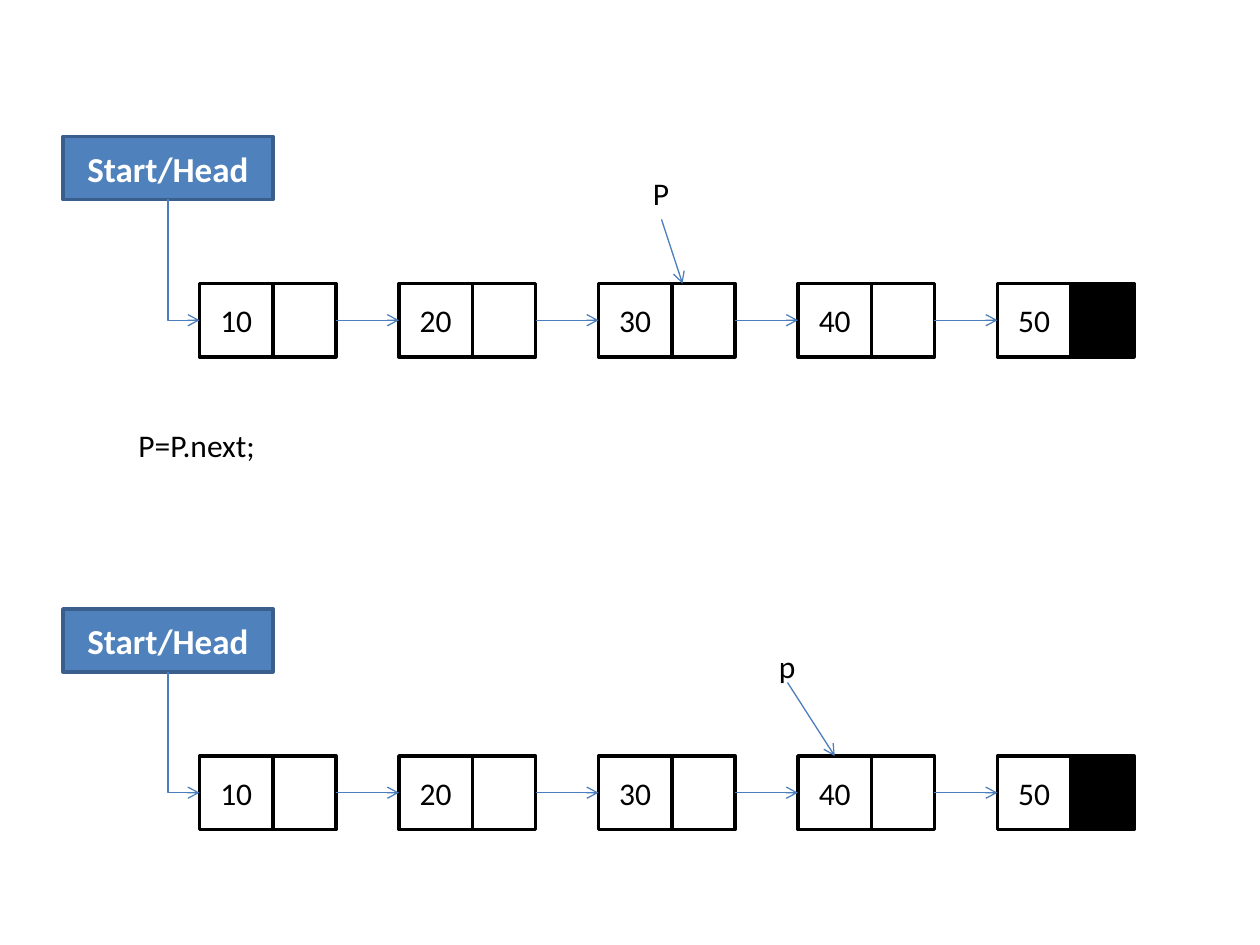
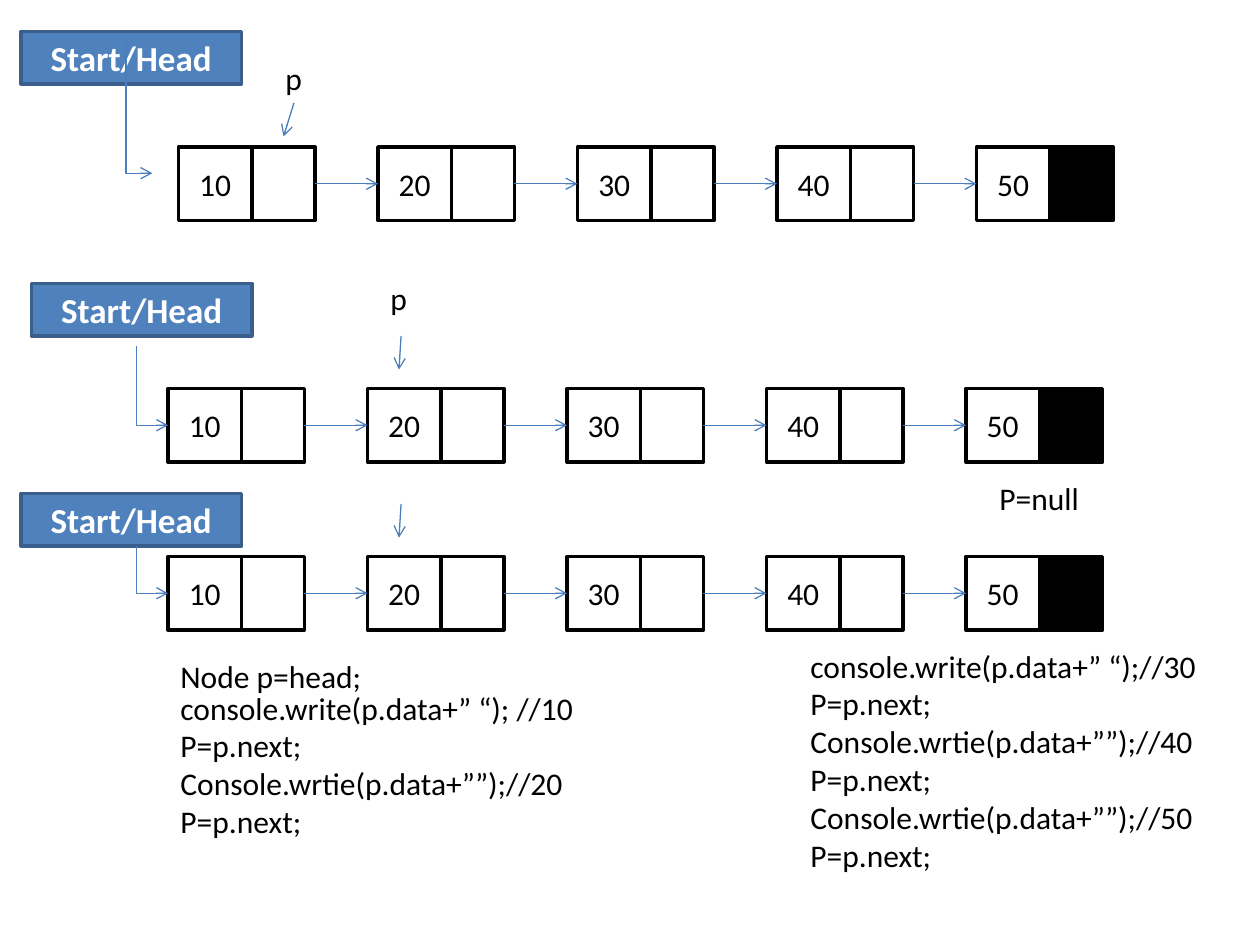
from lxml import etree
from pptx import Presentation
from pptx.dml.color import RGBColor
from pptx.enum.shapes import MSO_CONNECTOR, MSO_SHAPE
from pptx.enum.text import MSO_ANCHOR, MSO_AUTO_SIZE, PP_ALIGN
from pptx.oxml.ns import qn
from pptx.util import Cm, Pt

RECTANGLE = MSO_SHAPE.RECTANGLE
STRAIGHT = MSO_CONNECTOR.STRAIGHT
ELBOW = MSO_CONNECTOR.ELBOW
MIDDLE = MSO_ANCHOR.MIDDLE
CENTER = PP_ALIGN.CENTER
FIT_SHAPE = MSO_AUTO_SIZE.SHAPE_TO_FIT_TEXT

FONT = "Calibri"
BLACK = "000000"
WHITE = "FFFFFF"
HEAD_FILL = "4F81BD"
HEAD_LINE = "3A5F8C"
ARROW_BLUE = "4B7EBC"

GRID_CM = 2.54 / 12
NODE_VALUES = ["10", "20", "30", "40", "50"]
NODE_PITCH = 19
DATA_WIDTH = 7
NEXT_WIDTH = 6
NODE_HEIGHT = 7
LEFT_SITE, RIGHT_SITE = 1, 3


def grid(units):
    return Cm(units * GRID_CM)


def color(hex_string):
    return RGBColor.from_string(hex_string)


def style_font(paragraph, size, hex_string, bold=False):
    font = paragraph.font
    font.name = FONT
    font.size = Pt(size)
    font.bold = bold
    font.color.rgb = color(hex_string)


def add_box(slide, x, y, width, height, fill, outline):
    box = slide.shapes.add_shape(
        RECTANGLE, grid(x), grid(y), grid(width), grid(height))
    box.shadow.inherit = False
    box.fill.solid()
    box.fill.fore_color.rgb = color(fill)
    box.line.color.rgb = color(outline)
    box.line.width = Pt(2)
    return box


def write_centered(box, text, size, hex_string, bold=False):
    frame = box.text_frame
    frame.vertical_anchor = MIDDLE
    frame.text = text
    paragraph = frame.paragraphs[0]
    paragraph.alignment = CENTER
    style_font(paragraph, size, hex_string, bold)


def add_text(slide, x, y, width, lines, wrap=False):
    box = slide.shapes.add_textbox(
        grid(x), grid(y), grid(width), grid(1.2 + 3.65 * len(lines)))
    frame = box.text_frame
    frame.word_wrap = wrap
    frame.auto_size = FIT_SHAPE
    frame.text = "\n".join(lines)
    for paragraph in frame.paragraphs:
        style_font(paragraph, 18, BLACK)


def add_arrow(slide, start, end, kind=STRAIGHT):
    arrow = slide.shapes.add_connector(
        kind, grid(start[0]), grid(start[1]), grid(end[0]), grid(end[1]))
    arrow.line.color.rgb = color(ARROW_BLUE)
    arrow.line.width = Pt(0.75)
    properties = arrow._element.spPr
    outline = properties.find(qn("a:ln"))
    etree.SubElement(outline, qn("a:tailEnd"), type="arrow")
    etree.SubElement(properties, qn("a:effectLst"))
    return arrow


def add_elbow_arrow(slide, start, end):
    run, drop = end[0] - start[0], end[1] - start[1]
    middle_x, middle_y = (start[0] + end[0]) / 2, (start[1] + end[1]) / 2
    arrow = add_arrow(
        slide,
        (middle_x + drop / 2, middle_y - run / 2),
        (middle_x - drop / 2, middle_y + run / 2),
        ELBOW)
    properties = arrow._element.spPr
    properties.find(qn("a:xfrm")).set("rot", "16200000")
    properties.find(qn("a:prstGeom")).set("prst", "bentConnector2")


def add_linked_list(slide, x, y):
    nodes = []
    for index, value in enumerate(NODE_VALUES):
        left = x + index * NODE_PITCH
        is_last = index == len(NODE_VALUES) - 1
        data = add_box(slide, left, y, DATA_WIDTH, NODE_HEIGHT, WHITE, BLACK)
        write_centered(data, value, 18, BLACK)
        link = add_box(slide, left + DATA_WIDTH, y, NEXT_WIDTH, NODE_HEIGHT,
                       BLACK if is_last else WHITE, BLACK)
        nodes.append((data, link))
    middle = y + NODE_HEIGHT / 2
    for index in range(len(nodes) - 1):
        left = x + index * NODE_PITCH
        arrow = add_arrow(slide, (left + DATA_WIDTH + NEXT_WIDTH, middle),
                          (left + NODE_PITCH, middle))
        arrow.begin_connect(nodes[index][1], RIGHT_SITE)
        arrow.end_connect(nodes[index + 1][0], LEFT_SITE)


def add_head(slide, x, y, width, height, arrow_start, arrow_end):
    head = add_box(slide, x, y, width, height, HEAD_FILL, HEAD_LINE)
    write_centered(head, "Start/Head", 20, WHITE, bold=True)
    add_elbow_arrow(slide, arrow_start, arrow_end)


def build_move_slide(slide):
    for top in (13, 58):
        add_linked_list(slide, 19, top + 14)
        add_head(slide, 6, top, 20, 6, (16, top + 6), (19, top + 17.5))
    add_text(slide, 61, 16, 4, ["P"])
    add_arrow(slide, (63, 20.9), (65, 27))
    add_text(slide, 12, 40, 13.7, ["P=P.next;"])
    add_text(slide, 73, 61, 4, ["p"])
    add_arrow(slide, (75, 65), (79.5, 72))


def build_traversal_slide(slide):
    stages = [
        ((17, 14), (2, 3), (12, 4), (14.5, 16.5), (28, 9.8), (27, 13)),
        ((16, 37), (3, 27), (13, 33), (16, 40.5), (38.2, 32), (38, 35.2)),
        ((16, 53), (2, 47), (13, 52), (16, 56.5), (38.2, 48), (38, 51.2)),
    ]
    for nodes, head, elbow_start, elbow_end, pointer, target in stages:
        add_linked_list(slide, *nodes)
        add_head(slide, *head, 21, 5, elbow_start, elbow_end)
        add_arrow(slide, pointer, target)
    add_text(slide, 26, 5, 4, ["p"])
    add_text(slide, 36, 26, 4, ["p"])
    add_text(slide, 94, 45, 10, ["P=null"])
    add_text(slide, 16, 62, 20, ["Node p=head;"])
    add_text(slide, 16, 65, 44, [
        "console.write(p.data+” “); //10",
        "P=p.next;",
        "Console.wrtie(p.data+””);//20",
        "P=p.next;",
    ], wrap=True)
    add_text(slide, 76, 61, 39.6, [
        "console.write(p.data+” “);//30",
        "P=p.next;",
        "Console.wrtie(p.data+””);//40",
        "P=p.next;",
        "Console.wrtie(p.data+””);//50",
        "P=p.next;",
    ])


def main():
    presentation = Presentation()
    presentation.slide_width = Cm(25.4)
    presentation.slide_height = Cm(19.05)
    blank = presentation.slide_layouts[6]
    for build in (build_move_slide, build_traversal_slide):
        build(presentation.slides.add_slide(blank))
    presentation.save("out.pptx")


main()
